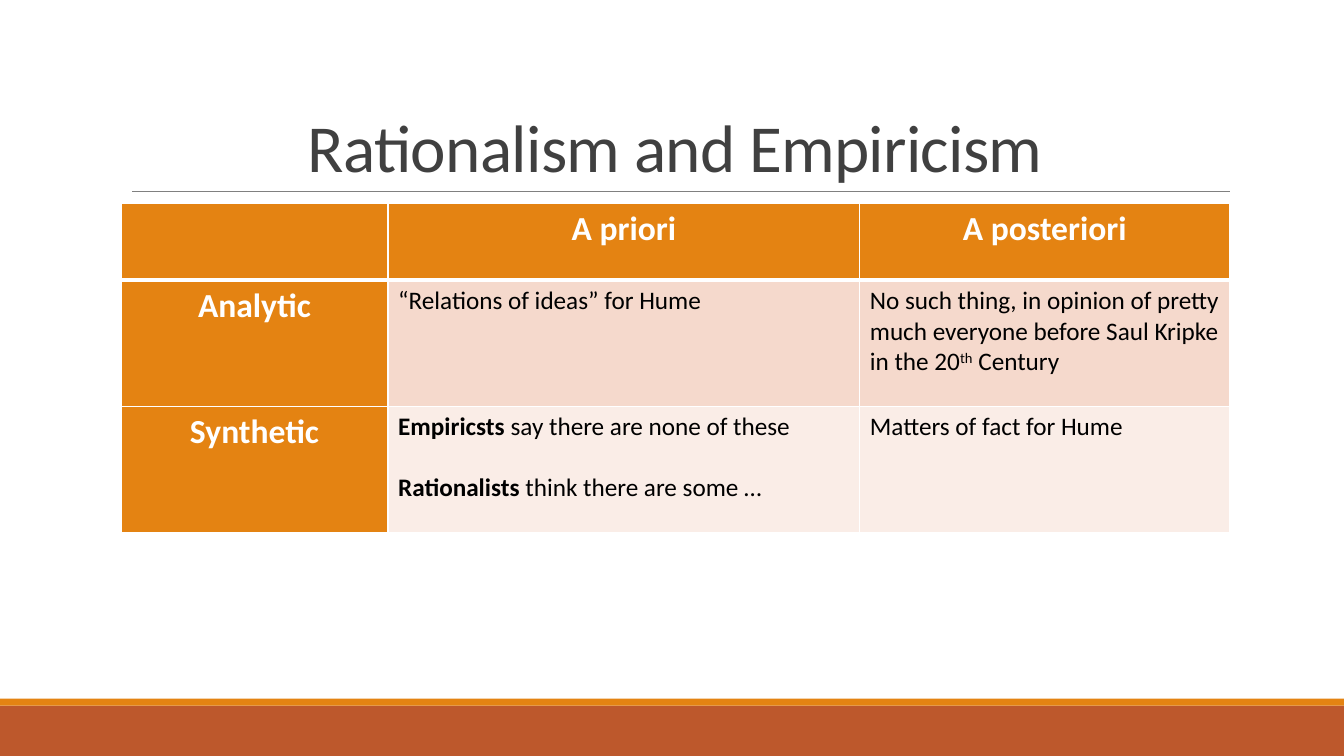
from lxml.etree import SubElement
from pptx import Presentation
from pptx.dml.color import RGBColor as RGB
from pptx.enum.shapes import MSO_CONNECTOR as CONN, MSO_SHAPE as SHAPE
from pptx.enum.text import MSO_ANCHOR as ANCHOR, PP_ALIGN as ALIGN
from pptx.oxml import parse_xml
from pptx.oxml.ns import nsdecls, qn
from pptx.util import Pt

COLORS = {
    "orange": "E48312", "rust": "BD582C", "rule": "808080", "title": "404040",
    "white": "FFFFFF", "black": "000000", "row1": "F5D9CC", "row2": "FAEDE7",
}
FONT = "Calibri"
WIDTH, HEIGHT = 960, 540
COLUMNS = [190.8, 337, 264.2]
ROWS = [54.7, 90, 90]
HEADINGS = ["", "A priori", "A posteriori"]
BODY = [
    ("Analytic", "row1", [
        [[("“Relations of ideas” for Hume", "")]],
        [[("No such thing, in opinion of pretty much everyone before Saul Kripke in the 20", ""),
          ("th", "super"), (" Century", "")]],
    ]),
    ("Synthetic", "row2", [
        [[("Empiricsts", "bold"), (" say there are none of these", "")],
         [("Rationalists", "bold"), (" think there are some …", "")]],
        [[("Matters of fact for Hume", "")]],
    ]),
]


def rgb(name):
    return RGB.from_string(COLORS[name])


def set_font(font, size, color, bold=False):
    font.name, font.size, font.bold = FONT, Pt(size), bold
    font.color.rgb = rgb(color)


def add_footer(s, x, y, w, h):
    stripe = 5
    for name, top, height in [("rust", y + stripe, h - stripe), ("orange", y, stripe)]:
        sp = s.shapes.add_shape(SHAPE.RECTANGLE, Pt(x), Pt(top), Pt(w), Pt(height))
        sp.shadow.inherit = False
        sp.fill.solid()
        sp.fill.fore_color.rgb = rgb(name)
        sp.line.fill.background()


def add_title(s, x, y, w, h):
    rule = s.shapes.add_connector(CONN.STRAIGHT, Pt(x + 8), Pt(y + h), Pt(x + w), Pt(y + h))
    rule.line.color.rgb = rgb("rule")
    rule.line.width = Pt(0.5)
    SubElement(rule._element.spPr, qn("a:effectLst"))

    sp = s.shapes.title
    sp.left, sp.top, sp.width, sp.height = Pt(x), Pt(y), Pt(w), Pt(h)
    tf = sp.text_frame
    tf.vertical_anchor = ANCHOR.BOTTOM
    tf.word_wrap = True
    p = tf.paragraphs[0]
    p.alignment = ALIGN.CENTER
    p.line_spacing = 0.85
    set_font(p.font, 48, "title")
    r = p.add_run()
    r.text = "Rationalism and Empiricism"
    r._r.get_or_add_rPr().set("spc", "-50")


def style_cell(cell, fill, bottom=1, top=1):
    cell.fill.solid()
    cell.fill.fore_color.rgb = rgb(fill)
    widths = [("lnL", 1), ("lnR", 1), ("lnT", top), ("lnB", bottom)]
    for i, (side, width) in enumerate(widths):
        border = parse_xml(
            f'<a:{side} {nsdecls("a")} w="{Pt(width)}"><a:solidFill>'
            f'<a:srgbClr val="{COLORS["white"]}"/></a:solidFill></a:{side}>')
        cell._tc.get_or_add_tcPr().insert(i, border)


def fill_heading(cell, text, **borders):
    style_cell(cell, "orange", **borders)
    p = cell.text_frame.paragraphs[0]
    p.alignment = ALIGN.CENTER
    set_font(p.font, 24, "white", True)
    if text:
        p.add_run().text = text


def fill_body(cell, paragraphs, fill, **borders):
    style_cell(cell, fill, **borders)
    tf = cell.text_frame
    for i, runs in enumerate(paragraphs):
        p = tf.add_paragraph() if i else tf.paragraphs[0]
        p.space_before = Pt(22 if i else 0)
        set_font(p.font, 18, "black")
        for text, style in runs:
            r = p.add_run()
            r.text = text
            if style == "bold":
                r.font.bold = True
            elif style == "super":
                r._r.get_or_add_rPr().set("baseline", "30000")


def add_views_table(s, x, y, w, h):
    table = s.shapes.add_table(len(ROWS), len(COLUMNS), Pt(x), Pt(y), Pt(w), Pt(h)).table
    table.first_row = table.horz_banding = False
    for column, width in zip(table.columns, COLUMNS):
        column.width = Pt(width)
    for row, height in zip(table.rows, ROWS):
        row.height = Pt(height)
    for i, text in enumerate(HEADINGS):
        fill_heading(table.cell(0, i), text, bottom=3)
    for i, (heading, fill, cells) in enumerate(BODY, 1):
        top = 3 if i == 1 else 1
        fill_heading(table.cell(i, 0), heading, top=top)
        for j, paragraphs in enumerate(cells, 1):
            fill_body(table.cell(i, j), paragraphs, fill, top=top)


def main():
    prs = Presentation()
    prs.slide_width, prs.slide_height = Pt(WIDTH), Pt(HEIGHT)
    s = prs.slides.add_slide(prs.slide_layouts[5])
    add_footer(s, 0, 499, WIDTH, HEIGHT - 499)
    add_title(s, 86.4, 22.3, 792, 114.3)
    add_views_table(s, 86.4, 145.5, sum(COLUMNS), sum(ROWS))
    prs.save("out.pptx")


if __name__ == "__main__":
    main()
